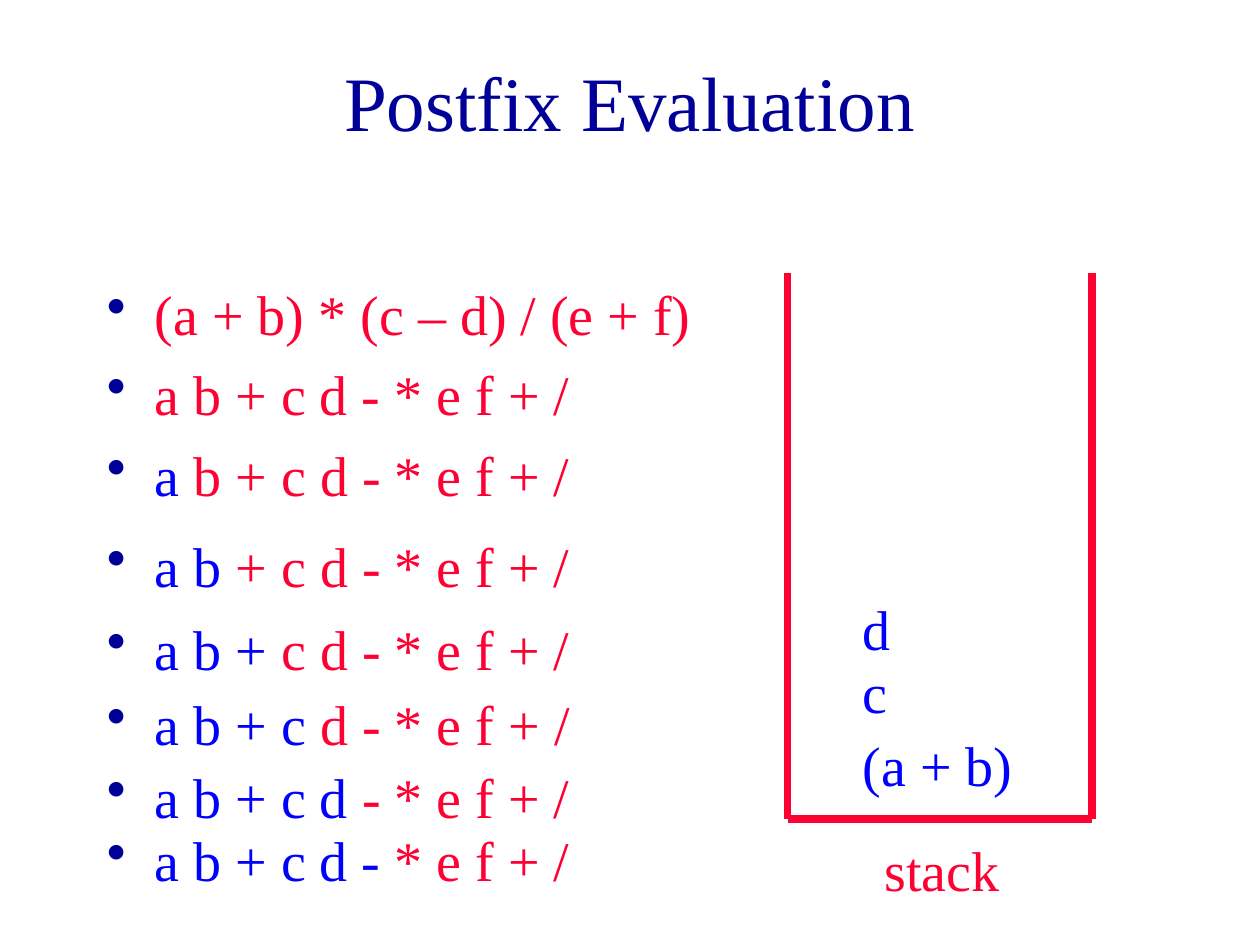
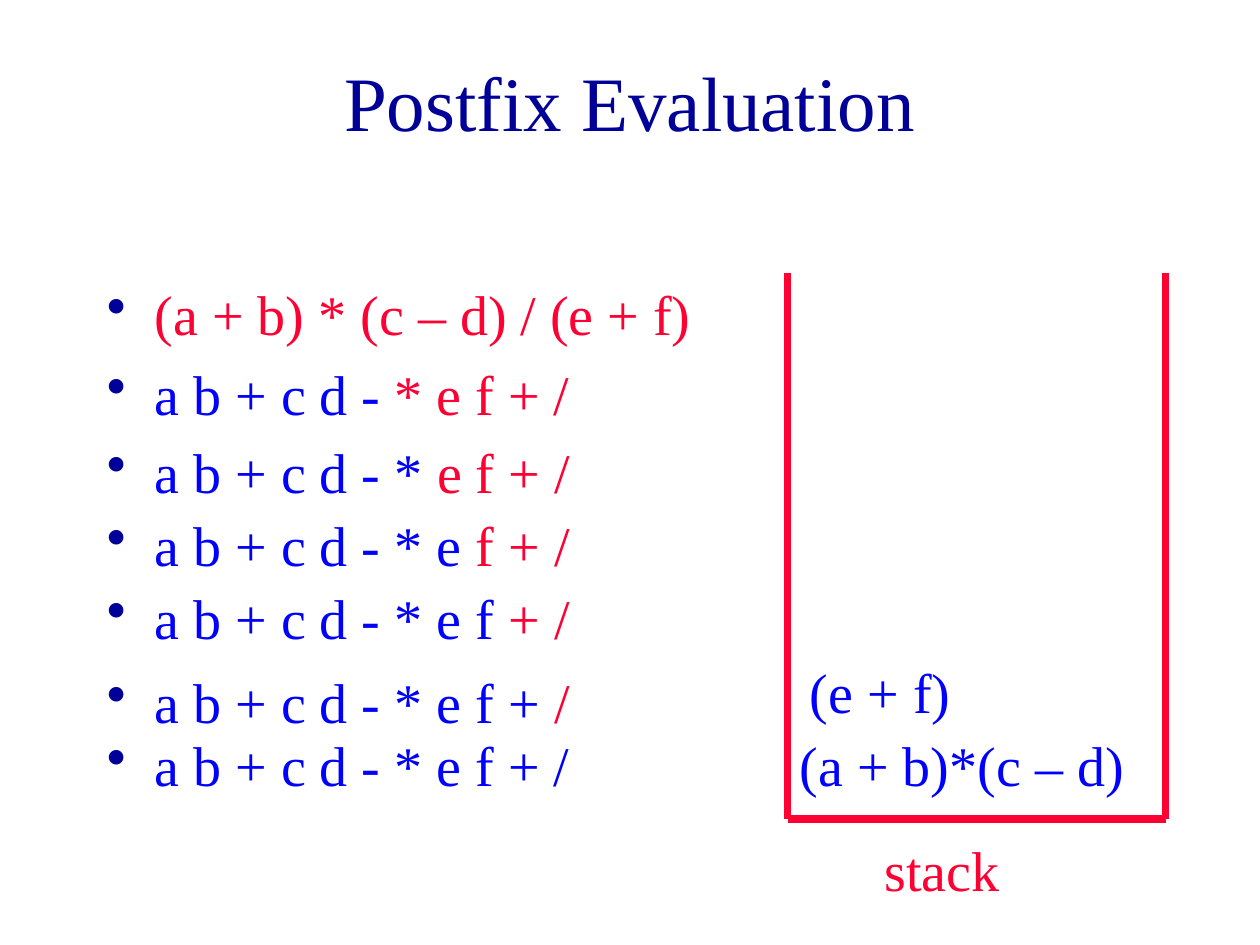
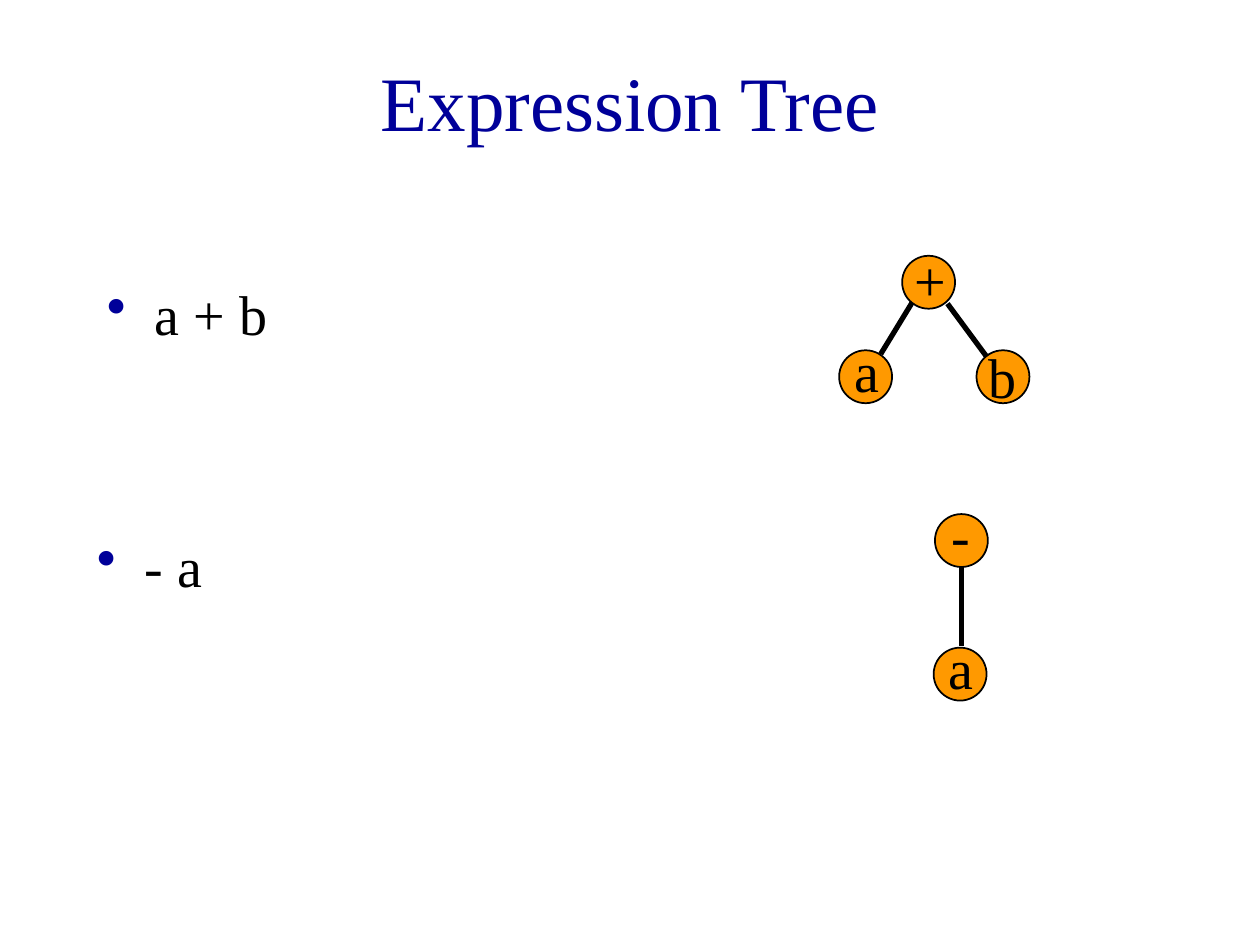
from lxml import etree
from pptx import Presentation
from pptx import util as u
from pptx.dml.color import RGBColor
from pptx.enum import shapes, text
from pptx.oxml.ns import qn

COLORS = {
    "title": "000099",
    "pending": "FF0033",
    "done": "0000FF",
    "ink": "000000",
    "node": "FF9900",
}
FONT = "Times New Roman"
INFIX = "(a + b) * (c – d) / (e + f)"
POSTFIX = "a b + c d - * e f + /"
NODE_SIZE = 0.42
LABEL_HEIGHT = 0.63
STEP_HEIGHT = 0.67


def rgb(name):
    return RGBColor.from_string(COLORS[name])


def add_runs(p, runs, size):
    for content, color in runs:
        if content:
            r = p.add_run()
            r.text = content
            r.font.name = FONT
            r.font.size = u.Pt(size)
            r.font.color.rgb = rgb(color)


def add_box(s, box):
    tf = s.shapes.add_textbox(*map(u.Inches, box)).text_frame
    tf.word_wrap = True
    return tf


def add_title(s, title):
    tf = add_box(s, (0.75, 0.17, 8.5, 1.25))
    tf.vertical_anchor = text.MSO_ANCHOR.MIDDLE
    p = tf.paragraphs[0]
    p.alignment = text.PP_ALIGN.CENTER
    add_runs(p, [(title, "title")], 44)


def add_label(s, box, content, color):
    add_runs(add_box(s, box).paragraphs[0], [(content, color)], 32)


def add_bullets(s, box, lines):
    tf = add_box(s, box)
    for i, runs in enumerate(lines):
        p = tf.paragraphs[0] if i == 0 else tf.add_paragraph()
        if i:
            p.space_before = u.Pt(7.5)
        pPr = p._p.get_or_add_pPr()
        pPr.set("marL", str(u.Inches(0.38)))
        pPr.set("indent", str(u.Inches(-0.38)))
        clr = etree.SubElement(pPr, qn("a:buClr"))
        etree.SubElement(clr, qn("a:srgbClr"), val=COLORS["title"])
        etree.SubElement(pPr, qn("a:buChar"), char="•")
        add_runs(p, runs, 32)


def add_line(s, start, end, color, width):
    c = s.shapes.add_connector(
        shapes.MSO_CONNECTOR.STRAIGHT, *map(u.Inches, (*start, *end)))
    c.line.color.rgb = rgb(color)
    c.line.width = u.Pt(width)
    etree.SubElement(c._element.spPr, qn("a:effectLst"))


def add_stack(s, box, entries):
    x, y, w, h = box
    right, bottom = x + w, y + h
    for start, end in (
        ((x, y), (x, bottom)),
        ((right, y), (right, bottom)),
        ((x, bottom), (right, bottom)),
    ):
        add_line(s, start, end, "pending", 4.5)
    add_label(s, (x + 0.67, bottom + 0.08, 1.25, LABEL_HEIGHT), "stack", "pending")
    for content, dx, dy, width in entries:
        add_label(s, (x + dx, y + dy, width, LABEL_HEIGHT), content, "done")


def step(done):
    return [(done, "done"), (POSTFIX[len(done):], "pending")]


def postfix_slide(prs, body_height, body_steps, later_steps, stack_width, entries):
    s = prs.slides.add_slide(prs.slide_layouts[6])
    add_title(s, "Postfix Evaluation")
    x, y, w = 0.75, 2.17, 4.92
    add_bullets(s, (x, y, w, body_height),
                [[(INFIX, "pending")]] + [step(done) for done in body_steps])
    for top, done in later_steps:
        add_bullets(s, (x, top, w, STEP_HEIGHT), [step(done)])
    add_stack(s, (6.25, y, stack_width, 4.33), entries)


def add_node(s, x, y, content, dx, dy):
    sp = s.shapes.add_shape(
        shapes.MSO_SHAPE.OVAL, *map(u.Inches, (x, y, NODE_SIZE, NODE_SIZE)))
    sp.shadow.inherit = False
    sp.fill.solid()
    sp.fill.fore_color.rgb = rgb("node")
    sp.line.color.rgb = rgb("ink")
    sp.line.width = u.Pt(1)
    add_label(s, (x + dx, y + dy, NODE_SIZE, LABEL_HEIGHT), content, "ink")


def add_tree(s, x, y, nodes, edges):
    for dx, dy, *label in nodes:
        add_node(s, x + dx, y + dy, *label)
    for x1, y1, x2, y2 in edges:
        add_line(s, (x + x1, y + y1), (x + x2, y + y2), "ink", 3)


def tree_slide(prs):
    s = prs.slides.add_slide(prs.slide_layouts[6])
    add_title(s, "Expression Tree")
    add_bullets(s, (0.75, 2.17, 3.5, 0.75), [[("a + b", "ink")]])
    add_tree(s, 6.66, 2.03,
             [(0.5, 0, "+", 0, -0.13),
              (0, 0.75, "a", 0.02, -0.16),
              (1.09, 0.75, "b", 0, -0.11)],
             [(0.58, 0.37, 0.33, 0.78), (0.86, 0.38, 1.17, 0.8)])
    add_bullets(s, (0.67, 4.17, 2.67, 0.75), [[("- a", "ink")]])
    add_tree(s, 7.41, 4.08,
             [(0.01, 0, "-", 0.03, -0.16), (0, 1.06, "a", 0.02, -0.16)],
             [(0.22, 0.42, 0.22, 1.05)])


def main():
    prs = Presentation()
    prs.slide_width, prs.slide_height = u.Inches(10), u.Inches(7.5)
    postfix_slide(
        prs, 2.08, ["", "a"],
        [(4.17, "a b"), (4.83, "a b +"), (5.42, "a b + c "),
         (6, "a b + c d"), (6.5, "a b + c d -")],
        2.42,
        [("(a + b)", 0.5, 3.58, 1.67), ("c", 0.5, 3, 1.67), ("d", 0.5, 2.5, 1.67)])
    postfix_slide(
        prs, 1.42, ["a b + c d -"],
        [(3.42, "a b + c d - *"), (4, "a b + c d - * e"),
         (4.58, "a b + c d - * e f"), (5.25, "a b + c d - * e f +"),
         (5.75, POSTFIX)],
        3,
        [("(a + b)*(c – d)", 0, 3.58, 3), ("(e + f)", 0.08, 3, 1.67)])
    tree_slide(prs)
    prs.save("out.pptx")


if __name__ == "__main__":
    main()
